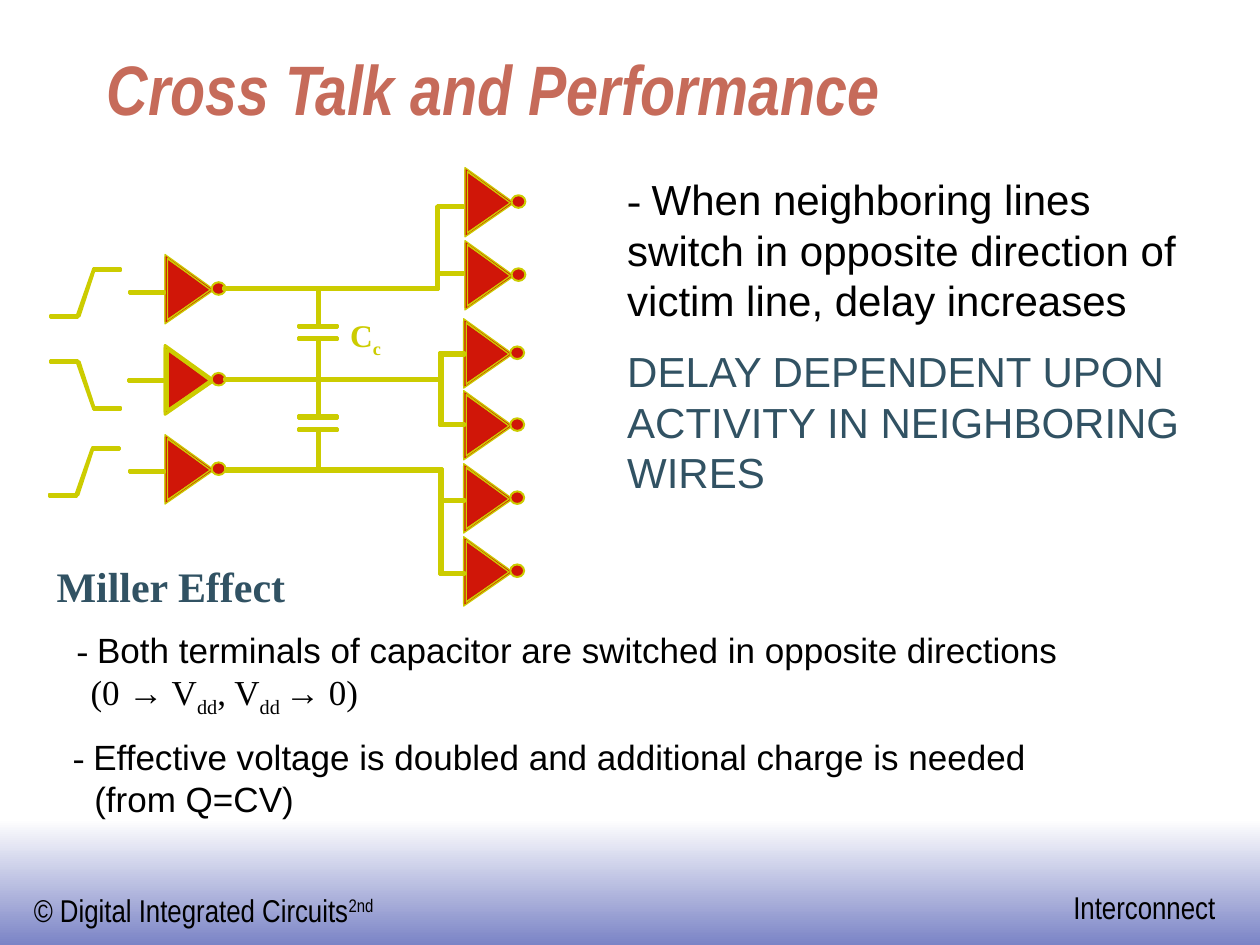
"""Build the slide on cross talk between neighbouring wires."""
from pptx import Presentation
from pptx.dml.color import RGBColor
from pptx.enum.shapes import MSO_SHAPE
from pptx.enum.text import MSO_ANCHOR, MSO_AUTO_SIZE
from pptx.oxml.ns import qn
from pptx.util import Inches, Pt

HUES = {"black": "000000", "wire": "CCCC00", "gate": "D01608", "title": "C66B5A",
        "slate": "315263", "white": "FFFFFF", "foot": "7B84C6"}
SANS = {"name": "Arial"}
SERIF = {"name": "Times New Roman"}
SLIM = {"name": "Arial Narrow", "size": Pt(18)}


def paint(shape, fill, width):
    shape.shadow.inherit = False
    shape.fill.solid()
    shape.fill.fore_color.rgb = RGBColor.from_string(HUES[fill])
    shape.line.color.rgb = RGBColor.from_string(HUES["wire"])
    shape.line.width = Pt(width)


def write(area, paras, frame, gap=0):
    box = slide.shapes.add_textbox(*map(Inches, area))
    for key, val in frame.items():
        setattr(box.text_frame, key, val)
    for num, (left, first, runs) in enumerate(paras):
        par = box.text_frame.paragraphs[0] if num == 0 else box.text_frame.add_paragraph()
        par.space_before = Pt(gap)
        props = list(box.element.iter(qn("a:pPr")))[-1]
        props.set("marL", str(Inches(left)))
        props.set("indent", str(Inches(first)))
        for text, hue, base, look in runs:
            if text == "\n":
                par.add_line_break()
                continue
            run = par.add_run()
            run.text = text
            for key, val in look.items():
                setattr(run.font, key, val)
            run.font.color.rgb = RGBColor.from_string(HUES[hue])
            if base:
                list(box.element.iter(qn("a:rPr")))[-1].set("baseline", str(base * 1000))


deck = Presentation()
deck.slide_width, deck.slide_height = Inches(10), Inches(7.5)
slide = deck.slides.add_slide(deck.slide_layouts[6])

band = slide.shapes.add_shape(MSO_SHAPE.RECTANGLE, *map(Inches, (0, 6.5, 10, 1)))
band.shadow.inherit = False
band.line.fill.background()
band.fill.gradient()
band.fill.gradient_angle = 270
for stop, hue, spot in zip(band.fill.gradient_stops, ("white", "foot"), (0, 1)):
    stop.color.rgb = RGBColor.from_string(HUES[hue])
    stop.position = spot

free = {"word_wrap": False, "auto_size": MSO_AUTO_SIZE.SHAPE_TO_FIT_TEXT}
wrap = {"word_wrap": True, "auto_size": MSO_AUTO_SIZE.SHAPE_TO_FIT_TEXT}
tight = free | dict.fromkeys(("margin_left", "margin_right", "margin_top", "margin_bottom"), 0)
write((0.17, 7.02, 2.93, 0.4), [(0, 0, [("© Digital Integrated Circuits", "black", 0, SLIM),
                                        ("2nd", "black", 30, SLIM)])], free)
write((8.42, 7, 1.33, 0.4), [(0, 0, [("Interconnect", "black", 0, SLIM)])], free)
head = SLIM | {"size": Pt(40), "bold": True, "italic": True}
write((0.75, 0.33, 8.5, 0.75), [(0, 0, [("Cross Talk and Performance", "title", 0, head)])],
      {"word_wrap": True, "vertical_anchor": MSO_ANCHOR.BOTTOM})

gates = [(1.31, 2.02, 0.75), (1.31, 2.74, 1.5), (1.31, 3.45, 0.75)]
gates += [(3.69, top, 0.75) for top in (1.33, 1.91)]
gates += [(3.68, top, 0.75) for top in (2.53, 3.1, 3.68, 4.26)]
core = [(0.37, 0.28), (0, 0.02), (0, 0.53)]
rim = [(0, 0), (0, 0.55), (0.39, 0.28)]
hole = [(0.02, 0.03), (0.36, 0.28), (0.02, 0.52)]
for left, top, width in gates:
    for loops in ([core], [rim, hole]):
        paths = [[(Inches(left + x), Inches(top + y)) for x, y in loop] for loop in loops]
        form = slide.shapes.build_freeform(*paths[0][0])
        form.add_line_segments(paths[0][1:])
        for path in paths[1:]:
            form.move_to(*path[0])
            form.add_line_segments(path[1:])
        paint(form.convert_to_shape(), "gate", width)
    dot = slide.shapes.add_shape(
        MSO_SHAPE.OVAL, *map(Inches, (left + 0.37, top + 0.22, 0.11, 0.1)))
    paint(dot, "gate", 1.13)

thin = 0.02
wires = [(3.46, 1.64, thin, 0.66), (3.49, 2.8, thin, 0.58), (3.49, 3.72, thin, 0.84)]
wires += [(3.47, top, 0.21, thin) for top in (1.63, 2.16)]
wires += [(3.5, top, 0.19, thin) for top in (2.8, 3.36, 3.96, 4.54)]
wires += [(left, top, 1.71, thin) for left, top in ((1.77, 2.28), (1.78, 3), (1.79, 3.72))]
wires += [(left, top, 0.28, thin) for left, top in ((1.03, 2.31), (1.02, 3.01), (1.03, 3.73))]
for top in (2.29, 3.01):
    wires += [(2.52, top, thin, 0.3), (2.37, top + 0.29, 0.31, thin),
              (2.37, top + 0.39, 0.31, thin), (2.52, top + 0.4, thin, 0.31)]
for left, start, end in ((0.4, 2.5, 2.13), (0.4, 2.86, 3.23), (0.39, 3.92, 3.55)):
    wires += [(left, start, 0.22, thin), (left + 0.34, end, 0.22, thin)]
    edge = [(left + x, y + 0.01) for x, y in
            ((0.21, start), (0.23, start), (0.35, end), (0.34, end))]
    path = [(Inches(x), Inches(y)) for x, y in edge]
    form = slide.shapes.build_freeform(*path[0])
    form.add_line_segments(path[1:])
    paint(form.convert_to_shape(), "wire", 1.5)
for area in wires:
    paint(slide.shapes.add_shape(MSO_SHAPE.RECTANGLE, *map(Inches, area)), "wire", 1.5)

label = SERIF | {"size": Pt(18), "bold": True}
write((2.78, 2.51, 0.26, 0.3),
      [(0, 0, [("C", "wire", 0, label), ("c", "wire", -25, label)])], tight)
large = SANS | {"size": Pt(24)}
write((4.88, 1.33, 4.74, 2.7), [
    (0, 0, [("- ", "black", 0, large | SERIF),
            ("When neighboring lines switch in opposite direction of victim line, "
             "delay increases", "black", 0, large)]),
    (0, 0, [("DELAY DEPENDENT UPON ACTIVITY IN NEIGHBORING WIRES", "slate", 0, large)]),
], wrap, 12)
body = SANS | {"size": Pt(20)}
math = body | SERIF
write((0.35, 4.4, 9.32, 2.27), [
    (0, 0, [("Miller Effect", "slate", 0, large | SERIF | {"bold": True})]),
    (0.27, -0.11, [
        ("- ", "black", 0, math),
        ("Both terminals of capacitor are switched in opposite directions", "black", 0, body),
        ("\n", "black", 0, body), ("(0 → V", "black", 0, math), ("dd", "black", -25, math),
        (", V", "black", 0, math), ("dd ", "black", -25, math), ("→ 0)", "black", 0, math)]),
    (0.3, -0.17, [
        ("- ", "black", 0, math),
        ("Effective voltage is doubled and additional charge is needed", "black", 0, body),
        ("\n", "black", 0, body), ("(from Q=CV)", "black", 0, body)]),
], wrap, 10)
deck.save("out.pptx")
